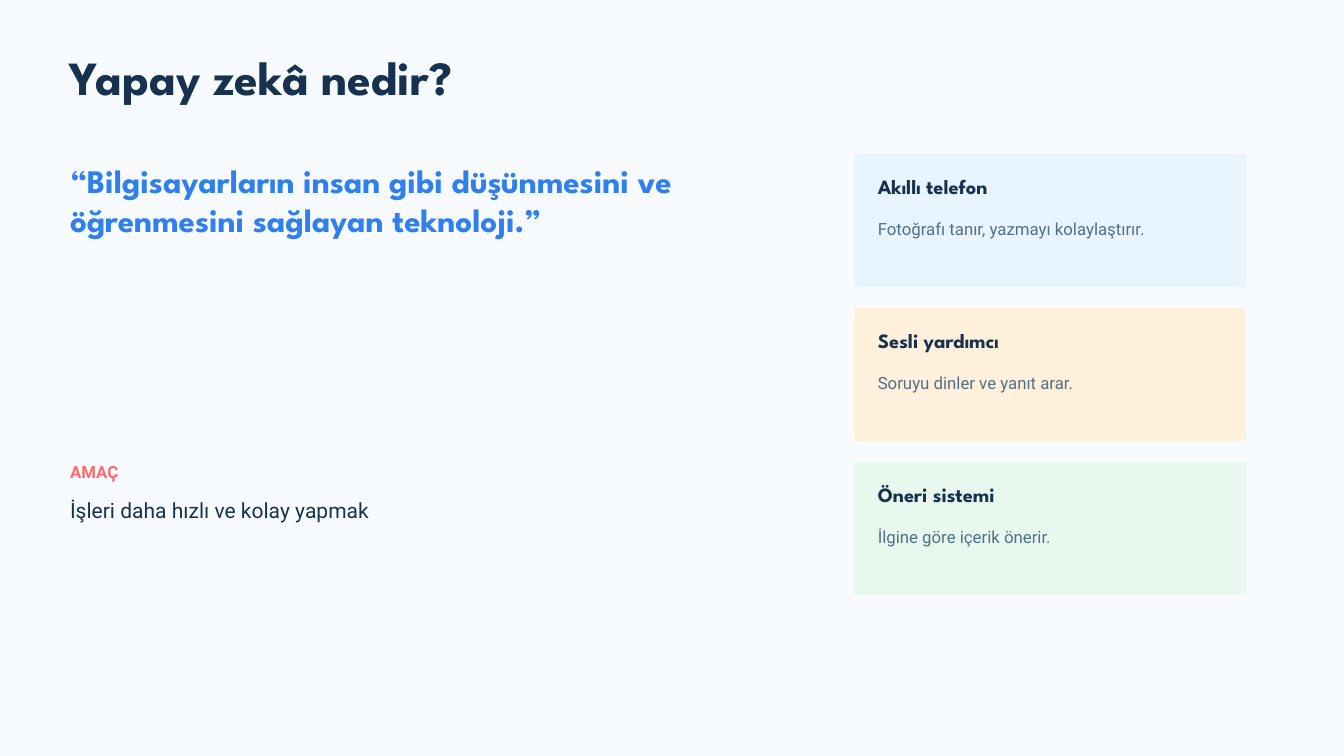
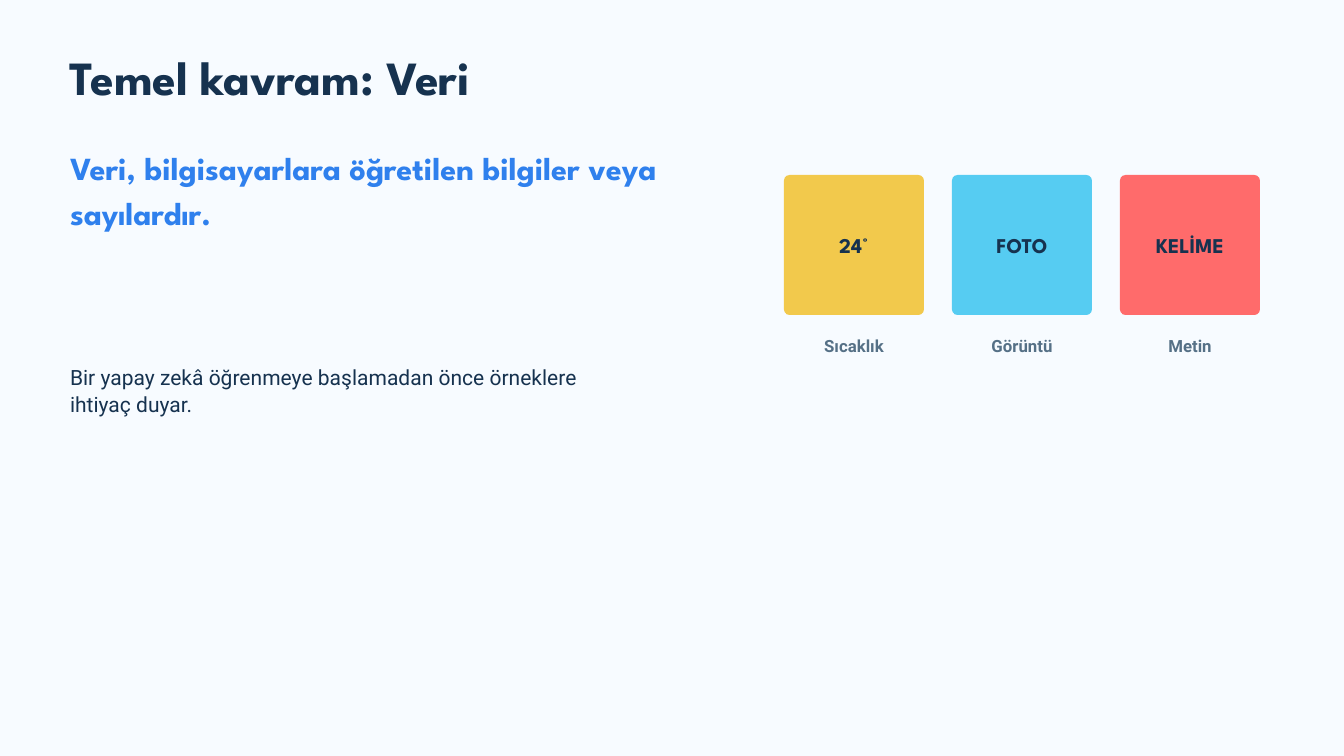
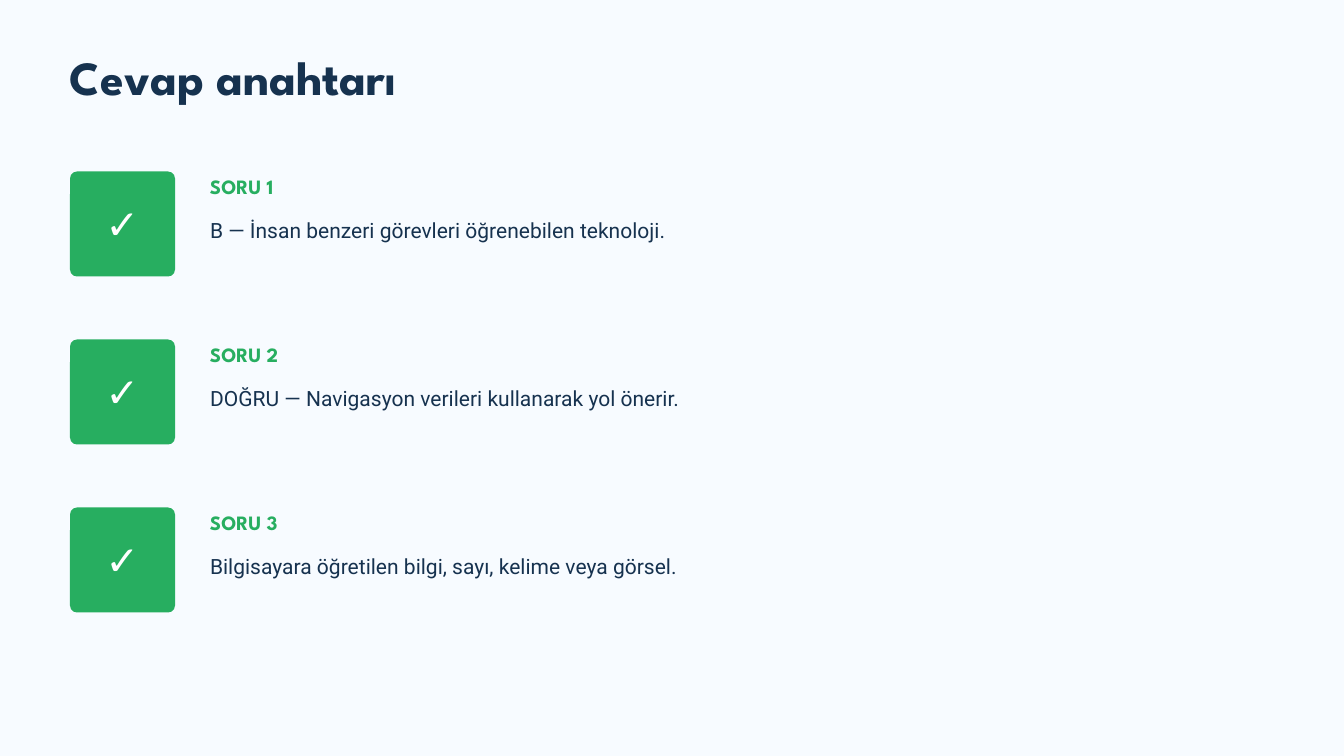
"""Build three slides that introduce artificial intelligence in Turkish."""
import pptx
import pptx.dml.color
import pptx.enum.shapes
import pptx.enum.text
import pptx.util

PX = 9525
COLORS = {
    "background": "F7FBFF", "navy": "16324F", "blue": "2F80ED", "slate": "557086",
    "coral": "FF6B6B", "green": "27AE60", "white": "FFFFFF", "pale_blue": "E8F4FF",
    "pale_orange": "FFF0DC", "pale_green": "E9F8EF", "yellow": "F2C94C", "sky": "56CCF2",
}
HEADING, BODY = "League Spartan", "Roboto"
STYLES = {
    "title": {"name": HEADING, "size": 51, "bold": True, "line": 53.5, "color": "navy"},
    "quote": {"name": HEADING, "size": 35.2, "bold": True, "line": 41.6, "color": "blue"},
    "definition": {"name": HEADING, "size": 34.5, "bold": True, "line": 48.3, "color": "blue"},
    "eyebrow": {"name": BODY, "size": 18, "bold": True, "line": 22.5, "color": "coral"},
    "body": {"name": BODY, "size": 22.5, "bold": False, "line": 29.2, "color": "navy"},
    "card_title": {"name": HEADING, "size": 21.8, "bold": True, "line": 24.4, "color": "navy"},
    "card_body": {"name": BODY, "size": 18, "bold": False, "line": 22.5, "color": "slate"},
    "tile": {"name": HEADING, "size": 22.5, "bold": True, "line": 24.8, "color": "navy"},
    "caption": {"name": BODY, "size": 18, "bold": True, "line": 22.5, "color": "slate"},
    "check": {"name": HEADING, "size": 43.5, "bold": True, "line": 47.9, "color": "white"},
    "question": {"name": HEADING, "size": 21.8, "bold": True, "line": 24.4, "color": "green"},
}
CENTERED_STYLES = ("tile", "caption", "check")
SHAPES = pptx.enum.shapes.MSO_SHAPE
ANCHORS = pptx.enum.text.MSO_ANCHOR
FITS = pptx.enum.text.MSO_AUTO_SIZE
ALIGNMENTS = pptx.enum.text.PP_ALIGN


def add_text(slide, text, style_name, left, top, width, height, shape=None, inset=0, extra_top=0):
    """Write styled text in the given shape, or in a new text box."""
    style = STYLES[style_name]
    target = shape or slide.shapes.add_textbox(left * PX, top * PX, width * PX, height * PX)
    frame = target.text_frame
    frame_format = {
        "word_wrap": True,
        "auto_size": FITS.NONE if shape else FITS.SHAPE_TO_FIT_TEXT,
        "vertical_anchor": ANCHORS.MIDDLE if shape else ANCHORS.TOP,
        "margin_left": inset * PX,
        "margin_right": inset * PX,
        "margin_top": (inset + extra_top) * PX,
        "margin_bottom": inset * PX,
    }
    for attribute, value in frame_format.items():
        setattr(frame, attribute, value)
    paragraph = frame.paragraphs[0]
    paragraph.alignment = ALIGNMENTS.CENTER if style_name in CENTERED_STYLES else ALIGNMENTS.LEFT
    paragraph.line_spacing = pptx.util.Pt(style["line"])
    run = paragraph.add_run()
    run.text = text
    font_format = {"name": style["name"], "size": pptx.util.Pt(style["size"]), "bold": style["bold"]}
    for attribute, value in font_format.items():
        setattr(run.font, attribute, value)
    run.font.color.rgb = pptx.dml.color.RGBColor.from_string(COLORS[style["color"]])


def add_panel(slide, color, left, top, width, height, radius=0):
    """Add a filled rectangle, rounded when a radius is given."""
    kind = SHAPES.ROUNDED_RECTANGLE if radius else SHAPES.RECTANGLE
    shape = slide.shapes.add_shape(kind, left * PX, top * PX, width * PX, height * PX)
    if radius:
        shape.adjustments[0] = radius / min(width, height)
    shape.shadow.inherit = False
    shape.fill.solid()
    shape.fill.fore_color.rgb = pptx.dml.color.RGBColor.from_string(COLORS[color])
    shape.line.fill.background()
    return shape


presentation = pptx.Presentation()
presentation.slide_width = 1920 * PX
presentation.slide_height = 1080 * PX

slides = []
for title in ("Yapay zekâ nedir?", "Temel kavram: Veri", "Cevap anahtarı"):
    slide = presentation.slides.add_slide(presentation.slide_layouts[6])
    slide.background.fill.solid()
    slide.background.fill.fore_color.rgb = pptx.dml.color.RGBColor.from_string(COLORS["background"])
    add_text(slide, title, "title", 100, 78, 1500, 73)
    slides.append(slide)
meaning_slide, data_slide, answer_slide = slides

add_text(meaning_slide, "“Bilgisayarların insan gibi düşünmesini ve öğrenmesini sağlayan teknoloji.”",
         "quote", 100, 231, 980, 110)
add_text(meaning_slide, "AMAÇ", "eyebrow", 100, 659, 180, 30)
add_text(meaning_slide, "İşleri daha hızlı ve kolay yapmak", "body", 100, 708, 800, 38)
cards = [
    ("Akıllı telefon", "Fotoğrafı tanır, yazmayı kolaylaştırır.", "pale_blue"),
    ("Sesli yardımcı", "Soruyu dinler ve yanıt arar.", "pale_orange"),
    ("Öneri sistemi", "İlgine göre içerik önerir.", "pale_green"),
]
for index, (heading, example, color) in enumerate(cards):
    top = 220 + index * 220
    add_panel(meaning_slide, color, 1220, top, 560, 190)
    add_text(meaning_slide, heading, "card_title", 1254, top + 31, 492, 34)
    add_text(meaning_slide, example, "card_body", 1254, top + 91, 492, 30)

add_text(data_slide, "Veri, bilgisayarlara öğretilen bilgiler veya sayılardır.",
         "definition", 100, 203, 950, 126)
add_text(data_slide, "Bir yapay zekâ öğrenmeye başlamadan önce örneklere ihtiyaç duyar.",
         "body", 100, 518, 800, 77)
tiles = [("24°", "Sıcaklık", "yellow"), ("FOTO", "Görüntü", "sky"), ("KELİME", "Metin", "coral")]
for index, (sample, caption, color) in enumerate(tiles):
    bounds = (1120 + index * 240, 250, 200, 200)
    tile = add_panel(data_slide, color, *bounds, radius=8)
    add_text(data_slide, sample, "tile", *bounds, shape=tile, inset=6, extra_top=2)
    add_text(data_slide, caption, "caption", bounds[0], 479, 200, 30)

answers = [
    "B — İnsan benzeri görevleri öğrenebilen teknoloji.",
    "DOĞRU — Navigasyon verileri kullanarak yol önerir.",
    "Bilgisayara öğretilen bilgi, sayı, kelime veya görsel.",
]
for index, answer in enumerate(answers):
    bounds = (100, 245 + index * 240, 150, 150)
    badge = add_panel(answer_slide, "green", *bounds, radius=10)
    add_text(answer_slide, "✓", "check", *bounds, shape=badge, inset=6, extra_top=3)
    add_text(answer_slide, f"SORU {index + 1}", "question", 300, bounds[1] + 6, 300, 34)
    add_text(answer_slide, answer, "body", 300, bounds[1] + 63, 1350, 38)

presentation.save("out.pptx")
